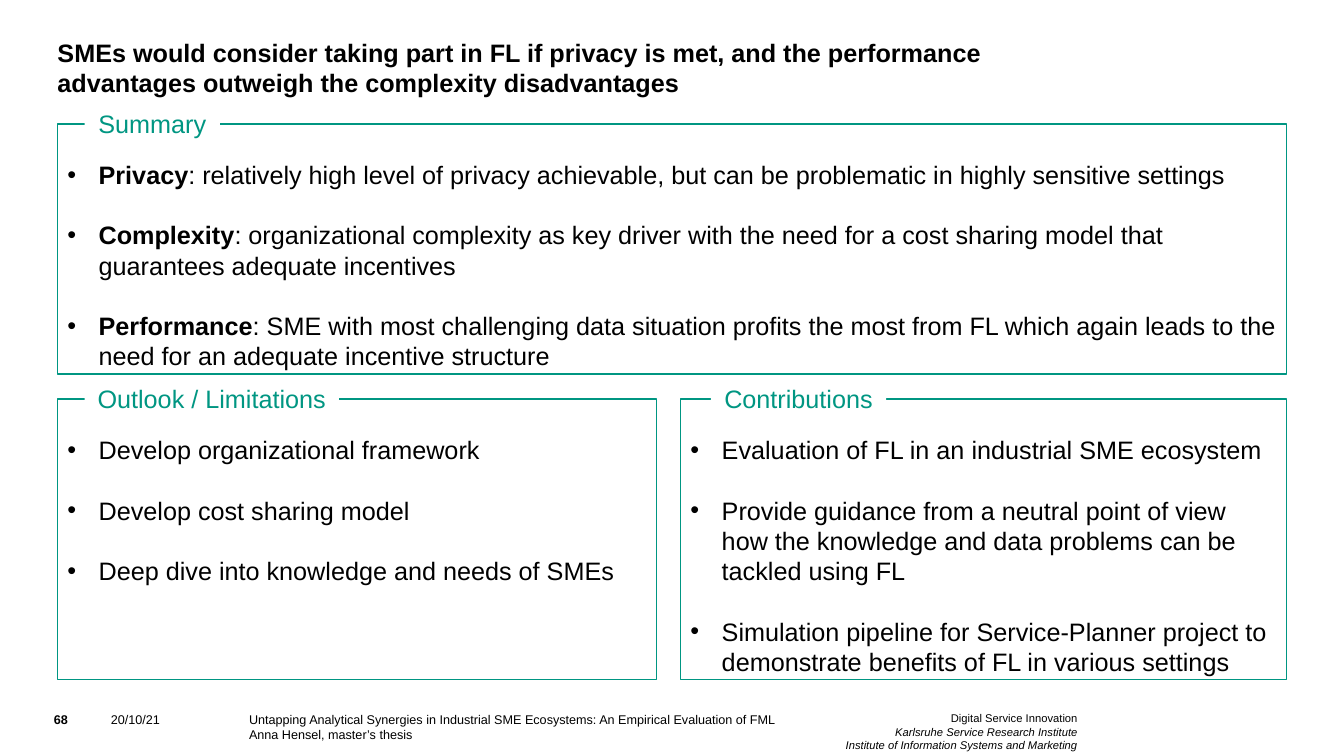
import pptx
import pptx.util
import pptx.dml.color
import pptx.enum.shapes
import pptx.enum.text
from lxml import etree

Inches, Pt = pptx.util.Inches, pptx.util.Pt
ALIGN = pptx.enum.text.PP_ALIGN
ANCHOR = pptx.enum.text.MSO_ANCHOR
COLORS = {"text": "000000", "accent": "009682", "paper": "FFFFFF"}


class SlideBuilder:
    font_name = "Arial"
    body_size = 18
    line_gap = 21.6
    indent = Inches(0.31)

    def __init__(self, slide):
        self.slide = slide

    def color(self, key):
        return pptx.dml.color.RGBColor.from_string(COLORS[key])

    def style(self, paragraph, size, color="text", bold=False, italic=False):
        for run in paragraph.runs:
            font = run.font
            font.name, font.size = self.font_name, Pt(size)
            font.bold, font.italic = bold, italic
            font.color.rgb = self.color(color)

    def text(self, box, lines, size, align=ALIGN.LEFT, anchor=ANCHOR.TOP,
             bold=False, italic_from=None):
        frame = self.slide.shapes.add_textbox(*map(Inches, box)).text_frame
        frame.word_wrap = True
        frame.vertical_anchor = anchor
        frame.margin_left = frame.margin_right = 0
        frame.margin_top = frame.margin_bottom = 0
        frame.text = "\n".join(lines)
        for number, paragraph in enumerate(frame.paragraphs):
            paragraph.alignment = align
            italic = italic_from is not None and number >= italic_from
            self.style(paragraph, size, bold=bold, italic=italic)

    def rectangle(self, box, outlined):
        shape = self.slide.shapes.add_shape(
            pptx.enum.shapes.MSO_SHAPE.RECTANGLE, *map(Inches, box))
        shape.shadow.inherit = False
        shape.fill.solid()
        shape.fill.fore_color.rgb = self.color("paper")
        if outlined:
            shape.line.color.rgb = self.color("accent")
            shape.line.width = Pt(1)
        else:
            shape.line.fill.background()
        shape.text_frame.word_wrap = True
        return shape.text_frame

    def bullet(self, paragraph):
        properties = paragraph._p.get_or_add_pPr()
        properties.set("marL", str(self.indent))
        properties.set("indent", str(-self.indent))
        ns = "{http://schemas.openxmlformats.org/drawingml/2006/main}"
        etree.SubElement(properties, ns + "buFont", typeface=self.font_name)
        etree.SubElement(properties, ns + "buChar", char="•")

    def panel(self, box, heading, heading_left, heading_width, points):
        """Outlined box with bullets and a heading set into its top edge."""
        frame = self.rectangle(box, outlined=True)
        frame.vertical_anchor = ANCHOR.TOP
        frame.margin_top = Inches(0.05) + Pt(self.line_gap)
        frame.margin_bottom = 0
        frame.text = "\n".join(keyword + rest for keyword, rest in points)
        for number, (keyword, rest) in enumerate(points):
            paragraph = frame.paragraphs[number]
            paragraph.alignment = ALIGN.LEFT
            if number:
                paragraph.space_before = Pt(self.line_gap)
            if keyword:
                paragraph.runs[0].text = keyword
                paragraph.add_run().text = rest
            self.style(paragraph, self.body_size)
            paragraph.runs[0].font.bold = bool(keyword)
            self.bullet(paragraph)

        label = self.rectangle(
            (heading_left, box[1] - 0.16, heading_width, 0.31), outlined=False)
        label.vertical_anchor = ANCHOR.MIDDLE
        label.text = heading
        label.paragraphs[0].alignment = ALIGN.CENTER
        self.style(label.paragraphs[0], self.body_size, "accent")


def main():
    deck = pptx.Presentation()
    deck.slide_width, deck.slide_height = Inches(13.33), Inches(7.5)
    builder = SlideBuilder(deck.slides.add_slide(deck.slide_layouts[6]))

    # Title
    builder.text(
        (0.57, 0.36, 10.08, 0.61),
        ["SMEs would consider taking part in FL if privacy is met, and the "
         "performance advantages outweigh the complexity disadvantages"],
        18, anchor=ANCHOR.BOTTOM, bold=True)

    # Panels
    builder.panel((0.57, 1.23, 12.19, 2.48), "Summary", 0.84, 1.34, [
        ("Privacy", ": relatively high level of privacy achievable, but can be "
         "problematic in highly sensitive settings"),
        ("Complexity", ": organizational complexity as key driver with the need "
         "for a cost sharing model that guarantees adequate incentives"),
        ("Performance", ": SME with most challenging data situation profits the "
         "most from FL which again leads to the need for an adequate incentive "
         "structure")])
    builder.panel((0.57, 3.96, 5.94, 2.78), "Outlook / Limitations", 0.84, 2.52, [
        ("", "Develop organizational framework"),
        ("", "Develop cost sharing model"),
        ("", "Deep dive into knowledge and needs of SMEs")])
    builder.panel((6.75, 3.96, 6.01, 2.78), "Contributions", 7.05, 1.74, [
        ("", "Evaluation of FL in an industrial SME ecosystem"),
        ("", "Provide guidance from a neutral point of view how the knowledge "
         "and data problems can be tackled using FL"),
        ("", "Simulation pipeline for Service-Planner project to demonstrate "
         "benefits of FL in various settings")])

    # Footer
    footer_top = 7.06
    builder.text((0.37, footer_top, 0.47, 0.24), ["68"], 9, ALIGN.CENTER, bold=True)
    builder.text((1.1, footer_top, 1.26, 0.4), ["20/10/21"], 9)
    builder.text(
        (2.47, footer_top, 5.84, 0.39),
        ["Untapping Analytical Synergies in Industrial SME Ecosystems: "
         "An Empirical Evaluation of FML", "Anna Hensel, master’s thesis"], 9)
    builder.text(
        (8.31, footer_top, 2.38, 0.39),
        ["Digital Service Innovation", "Karlsruhe Service Research Institute",
         "Institute of Information Systems and Marketing"],
        8, ALIGN.RIGHT, italic_from=1)

    deck.save("out.pptx")


if __name__ == "__main__":
    main()
